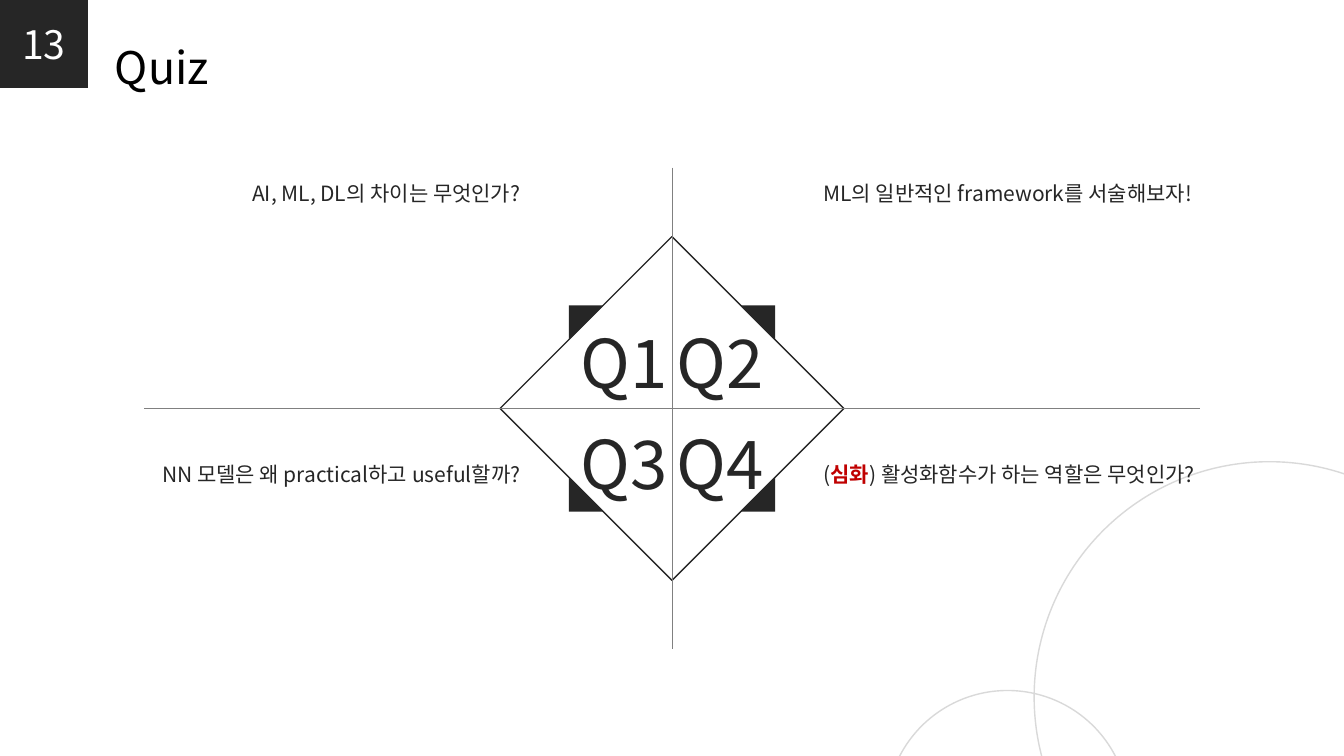
from lxml import etree
from pptx import Presentation
from pptx.dml.color import RGBColor
from pptx.enum.shapes import MSO_CONNECTOR, MSO_SHAPE
from pptx.enum.text import MSO_ANCHOR, MSO_AUTO_SIZE, PP_ALIGN
from pptx.oxml.ns import qn
from pptx.util import Pt

LEFT, CENTER, RIGHT = PP_ALIGN.LEFT, PP_ALIGN.CENTER, PP_ALIGN.RIGHT
TOP, MIDDLE = MSO_ANCHOR.TOP, MSO_ANCHOR.MIDDLE
GROW = MSO_AUTO_SIZE.SHAPE_TO_FIT_TEXT
STRAIGHT = MSO_CONNECTOR.STRAIGHT
OVAL, DIAMOND, RECT = MSO_SHAPE.OVAL, MSO_SHAPE.DIAMOND, MSO_SHAPE.RECTANGLE

FONT = "Noto Sans CJK JP"
COLORS = {"ink": "262626", "axis": "808080", "ring": "D9D9D9",
          "accent": "C00000", "white": "FFFFFF", "black": "000000"}
SLIDE_W, SLIDE_H = 960, 540

# Each quadrant: horizontal side, vertical side, label, question runs
QUADRANTS = [
    (-1, -1, "Q1", [("AI, ML, DL의 차이는 무엇인가?", "ink", False)]),
    (1, -1, "Q2", [("ML의 일반적인 framework를 서술해보자!", "ink", False)]),
    (-1, 1, "Q3", [("NN 모델은 왜 practical하고 useful할까?", "ink", False)]),
    (1, 1, "Q4", [("(", "ink", False), ("심화", "accent", True),
                  (") 활성화함수가 하는 역할은 무엇인가?", "ink", False)]),
]


def color(name):
    return RGBColor.from_string(COLORS[name])


def paint(shape, fill=None, line=None):
    shape.shadow.inherit = False
    if fill:
        shape.fill.solid()
        shape.fill.fore_color.rgb = color(fill)
    else:
        shape.fill.background()
    if line:
        shape.line.color.rgb = color(line)
        shape.line.width = Pt(1)
    else:
        shape.line.fill.background()


def add_figure(slide, kind, box, **paints):
    figure = slide.shapes.add_shape(kind, *map(Pt, box))
    paint(figure, **paints)
    return figure


def write(shape, runs, size, align=LEFT, spacing=None, **frame_format):
    frame = shape.text_frame
    for name, value in frame_format.items():
        setattr(frame, name, value)
    paragraph = frame.paragraphs[0]
    paragraph.alignment = align
    paragraph.line_spacing = spacing
    for text, tint, bold in runs:
        run = paragraph.add_run()
        run.text = text
        for name, value in {"name": FONT, "size": Pt(size), "bold": bold}.items():
            setattr(run.font, name, value)
        run.font.color.rgb = color(tint)
        # Hangul takes the East Asian typeface
        latin = run.font._element.find(qn("a:latin"))
        east_asian = etree.Element(qn("a:ea"))
        east_asian.set("typeface", FONT)
        latin.addnext(east_asian)


def add_text(slide, box, runs, size, wrap=False, **text_format):
    text_box = slide.shapes.add_textbox(*map(Pt, box))
    write(text_box, runs, size, word_wrap=wrap, auto_size=GROW,
          vertical_anchor=TOP, **text_format)


def add_axis(slide, start, end):
    axis = slide.shapes.add_connector(STRAIGHT, *map(Pt, start + end))
    axis.line.color.rgb = color("axis")
    axis.line.width = Pt(0.5)
    etree.SubElement(axis._element.spPr, qn("a:effectLst"))


def add_rings(slide, box):
    left, top, width, height = box
    for from_right, from_bottom, diameter in [(221.3, 210.2, 336.2), (327.1, 46.8, 173.5)]:
        ring = (left + width - from_right, top + height - from_bottom, diameter, diameter)
        add_figure(slide, OVAL, ring, line="ring")


def add_header(slide, box):
    left, top, _, height = box
    number = add_figure(slide, RECT, (left, top, height, height), fill="ink")
    write(number, [("13", "white", False)], 28, CENTER, vertical_anchor=MIDDLE)
    add_text(slide, (left + 75, top + 24.5, 85.7, 46), [("Quiz", "black", False)], 32)


def add_diamond(slide, box):
    left, top, size, _ = box
    half = size / 2
    center_x, center_y = left + half, top + half
    # Corner triangles outside the diamond's edges
    reach, leg = 0.6 * half, 0.2 * half
    for side_x, side_y, _, _ in QUADRANTS:
        x, y = center_x + side_x * reach, center_y + side_y * reach
        corner = slide.shapes.build_freeform(Pt(x), Pt(y))
        corner.add_line_segments([(Pt(x - side_x * leg), Pt(y)),
                                  (Pt(x), Pt(y - side_y * leg))], close=True)
        paint(corner.convert_to_shape(), fill="ink")
    add_figure(slide, DIAMOND, box, line="ink")


def add_quadrants(slide, box):
    left, top, width, height = box
    center_x, center_y = left + width / 2, top + height / 2
    add_axis(slide, (left, center_y), (left + width, center_y))
    add_axis(slide, (center_x, top), (center_x, top + height))

    label_w, label_h, question_w, question_h = 82.8, 65.5, 319.7, 28.8
    for side_x, side_y, label, question in QUADRANTS:
        label_x = center_x + side_x * 34.2 - label_w / 2
        label_y = center_y + (-65.6 if side_y < 0 else 6.4)
        add_text(slide, (label_x, label_y, label_w, label_h),
                 [(label, "ink", False)], 48, align=CENTER)
        question_x = center_x + (101.2 if side_x > 0 else -101.2 - question_w)
        question_y = top if side_y < 0 else center_y + 28.7
        add_text(slide, (question_x, question_y, question_w, question_h), question, 15,
                 wrap=True, align=LEFT if side_x > 0 else RIGHT, spacing=1.3)


def main():
    deck = Presentation()
    deck.slide_width, deck.slide_height = Pt(SLIDE_W), Pt(SLIDE_H)
    slide = deck.slides.add_slide(deck.slide_layouts[6])
    add_rings(slide, (0, 0, SLIDE_W, SLIDE_H))
    add_diamond(slide, (357.2, 169, 245.6, 245.6))
    add_quadrants(slide, (103, 119.7, 754, 344))
    add_header(slide, (0, 0, SLIDE_W, 62.8))
    deck.save("out.pptx")


if __name__ == "__main__":
    main()
